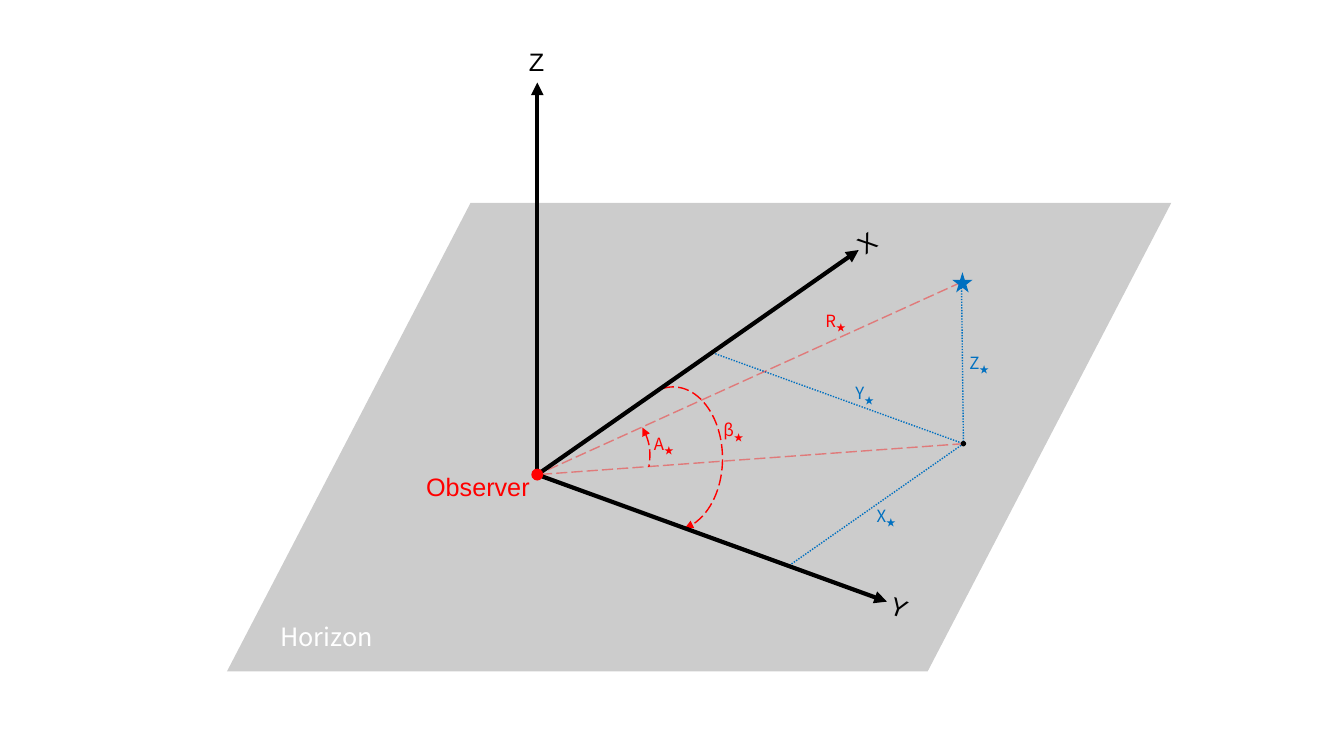
from pptx import Presentation
from pptx.dml.color import RGBColor
from pptx.enum.dml import MSO_LINE as DASH
from pptx.enum.shapes import MSO_CONNECTOR as LINK, MSO_SHAPE as FORM
from pptx.enum.text import MSO_AUTO_SIZE as FIT
from pptx.oxml import parse_xml
from pptx.oxml.ns import nsdecls, qn
from pptx.util import Cm, Pt

COLOURS = {"black": "000000", "red": "FF0000", "blue": "0070C0", "white": "FFFFFF"}
SANS, CJK = "Arial", "Noto Sans CJK TC"
OBSERVER, FOOT, STAR = (13.54, 11.96), (24.28, 11.18), (24.23, 7.11)


def stroke(shape, colour, width, dash=None, alpha=None, arrow=None):
    shape.line.color.rgb = RGBColor.from_string(COLOURS[colour])
    shape.line.width = Pt(width)
    if dash:
        shape.line.dash_style = dash
    line = shape.element.spPr.find(qn("a:ln"))
    if alpha:
        tint = line.find(".//" + qn("a:srgbClr"))
        tint.append(parse_xml(f'<a:alpha {nsdecls("a")} val="{alpha * 1000}"/>'))
    if arrow:
        line.append(parse_xml(f'<a:{arrow} {nsdecls("a")} type="triangle"/>'))


def connect(shapes, start, end, *style):
    link = shapes.add_connector(LINK.STRAIGHT, *map(Cm, start + end))
    stroke(link, *style)
    link.element.spPr.append(parse_xml(f'<a:effectLst {nsdecls("a")}/>'))


deck = Presentation()
deck.slide_width, deck.slide_height = Cm(33.87), Cm(19.05)
page = deck.slides.add_slide(deck.slide_layouts[6])

horizon = page.shapes.add_shape(FORM.PARALLELOGRAM, Cm(5.72), Cm(5.11), Cm(23.8), Cm(11.81))
horizon.adjustments[0] = 0.52
horizon.shadow.inherit = False
horizon.fill.solid()
horizon.fill.fore_color.rgb = RGBColor.from_string(COLOURS["black"])
horizon.line.fill.background()
shade = horizon.element.spPr.find(".//" + qn("a:srgbClr"))
shade.append(parse_xml(f'<a:alpha {nsdecls("a")} val="20000"/>'))

for start in [(17.96, 8.89), (19.89, 14.25), STAR]:
    connect(page.shapes, start, FOOT, "blue", 1, DASH.ROUND_DOT)
for start in [STAR, FOOT]:
    connect(page.shapes, start, OBSERVER, "red", 1, DASH.LONG_DASH, 40)

arcs = [
    (13.46, 10.03, 2.92, 2.92, 198.4, 6.51, "headEnd"),
    (15.72, 9.75, 2.49, 3.61, 149.7, 48.23, "tailEnd"),
]
for left, top, width, height, begin, finish, arrow in arcs:
    arc = page.shapes.add_shape(FORM.ARC, Cm(left), Cm(top), Cm(width), Cm(height))
    arc.adjustments[0], arc.adjustments[1] = begin, finish
    arc.shadow.inherit = False
    arc.fill.background()
    stroke(arc, "red", 1, DASH.LONG_DASH, None, arrow)

axes = page.shapes.add_group_shape()
for end in [(22.35, 15.16), (13.54, 2.08), (21.64, 6.3)]:
    connect(axes.shapes, OBSERVER, end, "black", 3, None, None, "tailEnd")

markers = [
    (FORM.STAR_5_POINT, 24, 6.86, 0.51, "blue"),
    (FORM.OVAL, 24.23, 11.13, 0.1, "black"),
    (FORM.OVAL, 13.39, 11.81, 0.3, "red"),
]
for form, left, top, size, colour in markers:
    marker = page.shapes.add_shape(form, Cm(left), Cm(top), Cm(size), Cm(size))
    marker.shadow.inherit = False
    marker.fill.solid()
    marker.fill.fore_color.rgb = RGBColor.from_string(COLOURS[colour])
    marker.line.fill.background()
    if colour == "black":
        stroke(marker, "black", 1)

labels = [
    ("Z", 13.08, 1.04, 1.02, 0, SANS, 18, "black"),
    ("Y", 22.2, 14.78, 0.94, 20, SANS, 18, "black"),
    ("X", 21.39, 5.64, 0.81, 325, SANS, 18, "black"),
    ("Observer", 10.49, 11.76, 3.12, 0, SANS, 18, "red"),
    ("Horizon", 6.81, 15.54, 3.15, 0, CJK, 18, "white"),
    ("R★", 20.55, 7.7, 1.42, 0, CJK, 12, "red"),
    ("Z★", 24.18, 8.76, 1.42, 0, CJK, 12, "blue"),
    ("Y★", 21.31, 9.53, 1.35, 0, CJK, 12, "blue"),
    ("X★", 21.84, 12.62, 4.29, 0, CJK, 12, "blue"),
    ("β★", 17.98, 10.46, 1.42, 0, CJK, 12, "red"),
    ("A★", 16.23, 10.8, 1.42, 0, CJK, 12, "red"),
]
for text, left, top, width, turn, face, size, colour in labels:
    height = 1.02 if size == 18 else 0.76
    box = page.shapes.add_textbox(Cm(left), Cm(top), Cm(width), Cm(height))
    box.rotation = turn
    box.text_frame.word_wrap = text != "Observer"
    box.text_frame.auto_size = FIT.SHAPE_TO_FIT_TEXT
    para = box.text_frame.paragraphs[0]
    style = {"name": face, "size": Pt(size)}
    for part in filter(None, [text.rstrip("★"), "★" if "★" in text else ""]):
        span = para.add_run()
        span.text = part
        for name, value in style.items():
            setattr(span.font, name, value)
        span.font.color.rgb = RGBColor.from_string(COLOURS[colour])
        properties = span.font._element
        properties.append(parse_xml(f'<a:ea {nsdecls("a")} typeface="{face}"/>'))
        if part == "★":
            properties.set("baseline", "-25000")

deck.save("out.pptx")
